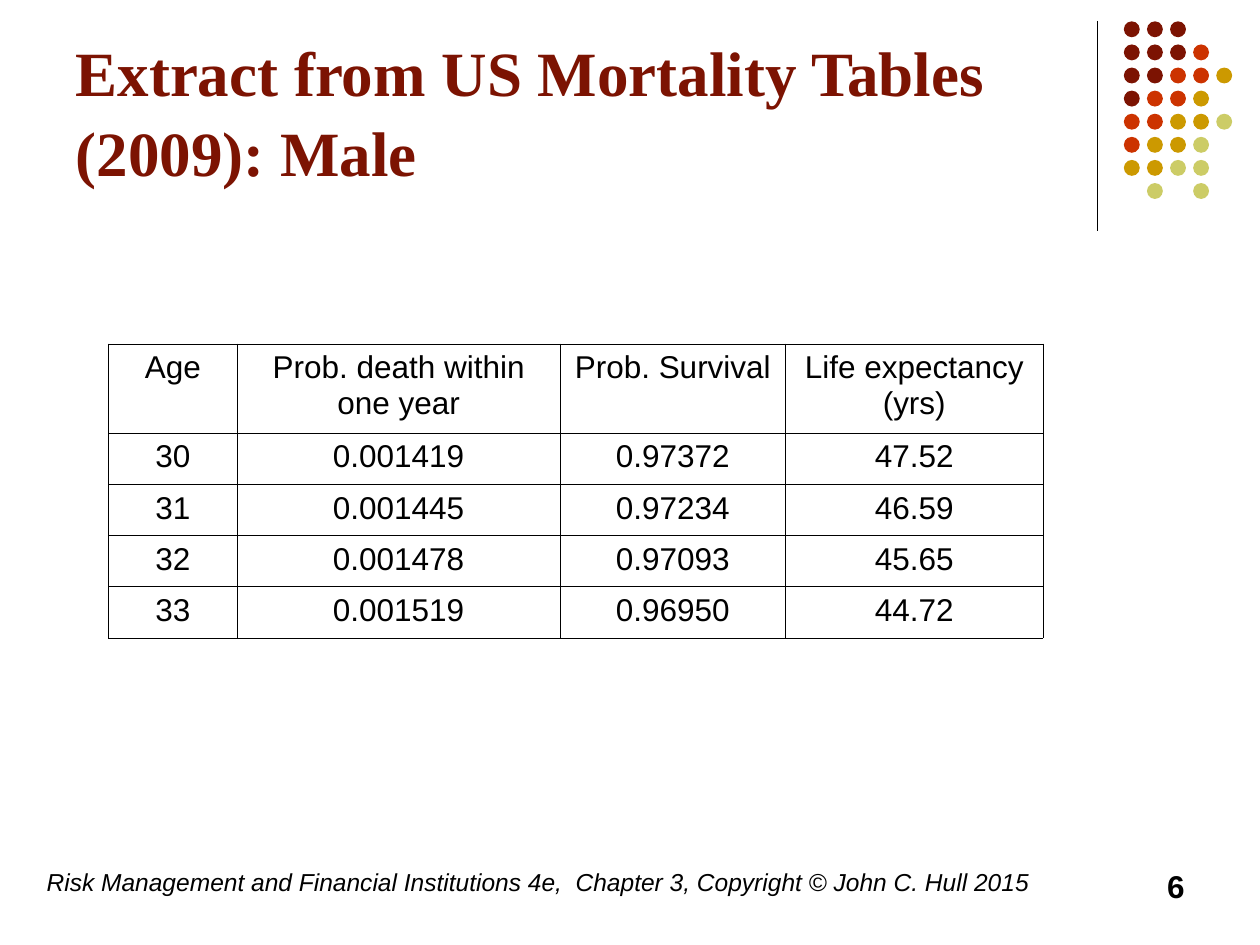
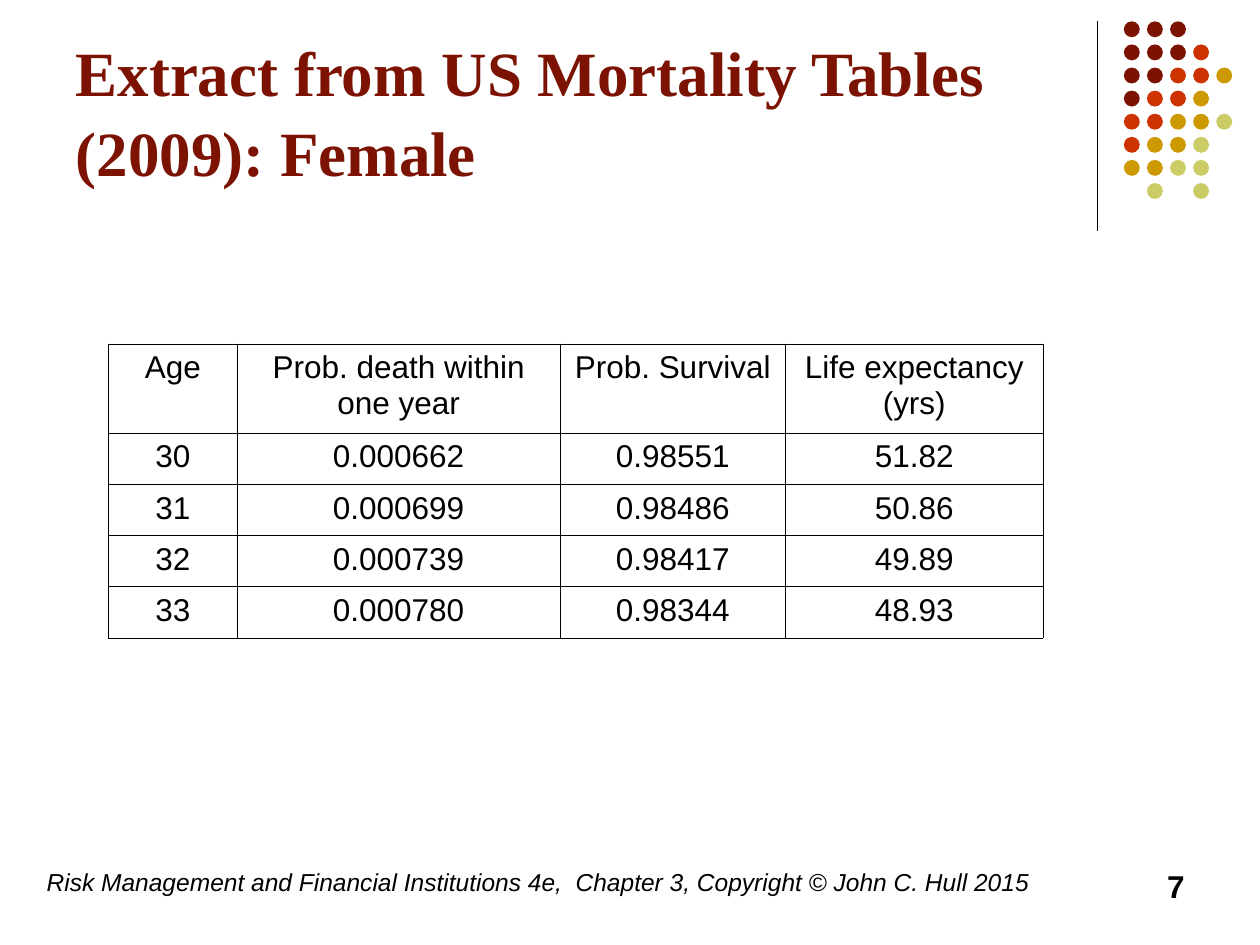
from lxml import etree
from pptx import Presentation
from pptx.dml.color import RGBColor
from pptx.enum import shapes, text
from pptx.oxml import ns
from pptx.util import Pt

HEADER = ["Age", "Prob. death within one year", "Prob. Survival", "Life expectancy (yrs)"]
SLIDES = [
    ("6", "Extract from US Mortality Tables (2009): Male", [
        ("30", "0.001419", "0.97372", "47.52"),
        ("31", "0.001445", "0.97234", "46.59"),
        ("32", "0.001478", "0.97093", "45.65"),
        ("33", "0.001519", "0.96950", "44.72"),
    ]),
    ("7", "Extract from US Mortality Tables (2009): Female", [
        ("30", "0.000662", "0.98551", "51.82"),
        ("31", "0.000699", "0.98486", "50.86"),
        ("32", "0.000739", "0.98417", "49.89"),
        ("33", "0.000780", "0.98344", "48.93"),
    ]),
]
FOOTER = "Risk Management and Financial Institutions 4e,  Chapter 3, Copyright © John C. Hull 2015"

MAROON, BLACK = "7C1302", "000000"
DOT_COLORS = {"m": MAROON, "r": "CC3300", "g": "CC9900", "y": "CCCC66"}
DOT_ROWS = ["mmm", "mmmr", "mmrrg", "mrrg", "rrggy", "rggy", "ggyy", " y y"]
DOT_LEFT, DOT_TOP, DOT_PITCH, DOT_SIZE = 642.2, 12.2, 13.2, 9.1

COL_WIDTHS = [73.6, 184.4, 129, 147]
ROW_HEIGHTS = [50.8] + [29.3] * 4
TABLE_LEFT, TABLE_TOP = 62, 196.6


def rgb(value):
    return RGBColor.from_string(value)


def style(p, size, name="Arial", color=BLACK, bold=False, italic=False, align=text.PP_ALIGN.LEFT):
    p.alignment = align
    f = p.font
    f.size, f.name, f.bold, f.italic = Pt(size), name, bold, italic
    f.color.rgb = rgb(color)


def add_decoration(slide, layout):
    rule = slide.shapes.add_connector(
        shapes.MSO_CONNECTOR.STRAIGHT, Pt(627), Pt(12), Pt(627), Pt(132))
    rule.line.color.rgb = rgb(BLACK)
    rule.line.width = Pt(0.75)
    etree.SubElement(rule.element.spPr, ns.qn("a:effectLst"))
    dots = slide.shapes.add_group_shape()
    for i, row in enumerate(DOT_ROWS):
        for j, key in enumerate(row):
            if key == " ":
                continue
            dot = dots.shapes.add_shape(
                shapes.MSO_SHAPE.OVAL, Pt(DOT_LEFT + j * DOT_PITCH),
                Pt(DOT_TOP + i * DOT_PITCH), Pt(DOT_SIZE), Pt(DOT_SIZE))
            dot.shadow.inherit = False
            dot.fill.solid()
            dot.fill.fore_color.rgb = rgb(DOT_COLORS[key])
            dot.line.fill.background()
    for sp in (rule, dots):
        layout.shapes.element.append(sp.element)


def add_title(slide, title):
    sp = slide.shapes.title
    sp.left, sp.top, sp.width, sp.height = Pt(36), Pt(9.4), Pt(594), Pt(102)
    tf = sp.text_frame
    tf.text = title
    tf.auto_size = text.MSO_AUTO_SIZE.NONE
    tf.vertical_anchor = text.MSO_ANCHOR.BOTTOM
    p = tf.paragraphs[0]
    p.line_spacing = 1.05
    style(p, 36, "Times New Roman", MAROON, bold=True)


def add_text(slide, left, width, content, size, **options):
    tf = slide.shapes.add_textbox(Pt(left), Pt(492), Pt(width), Pt(36)).text_frame
    tf.word_wrap = True
    tf.text = content
    style(tf.paragraphs[0], size, **options)


def set_borders(cell):
    tc_pr = cell._tc.get_or_add_tcPr()
    for side in ("lnL", "lnR", "lnT", "lnB"):
        ln = etree.SubElement(tc_pr, ns.qn(f"a:{side}"), w=str(Pt(0.45)))
        fill = etree.SubElement(ln, ns.qn("a:solidFill"))
        etree.SubElement(fill, ns.qn("a:srgbClr"), val=BLACK)


def add_mortality_table(slide, rows):
    data = [HEADER, *rows]
    table = slide.shapes.add_table(
        len(data), len(HEADER), Pt(TABLE_LEFT), Pt(TABLE_TOP),
        Pt(sum(COL_WIDTHS)), Pt(sum(ROW_HEIGHTS))).table
    table.first_row = table.horz_banding = False
    for column, width in zip(table.columns, COL_WIDTHS):
        column.width = Pt(width)
    for row, height, values in zip(table.rows, ROW_HEIGHTS, data):
        row.height = Pt(height)
        for cell, value in zip(row.cells, values):
            cell.text = value
            style(cell.text_frame.paragraphs[0], 18, align=text.PP_ALIGN.CENTER)
            set_borders(cell)
            cell.fill.background()


def main():
    prs = Presentation()
    prs.slide_width, prs.slide_height = Pt(720), Pt(540)
    layout = prs.slide_layouts.get_by_name("Title Only")
    for number, title, rows in SLIDES:
        slide = prs.slides.add_slide(layout)
        add_title(slide, title)
        add_text(slide, 19.6, 595.4, FOOTER, 14, italic=True)
        add_text(slide, 516, 168, number, 18, bold=True, align=text.PP_ALIGN.RIGHT)
        add_mortality_table(slide, rows)
    add_decoration(prs.slides[0], layout)
    prs.save("out.pptx")


if __name__ == "__main__":
    main()
